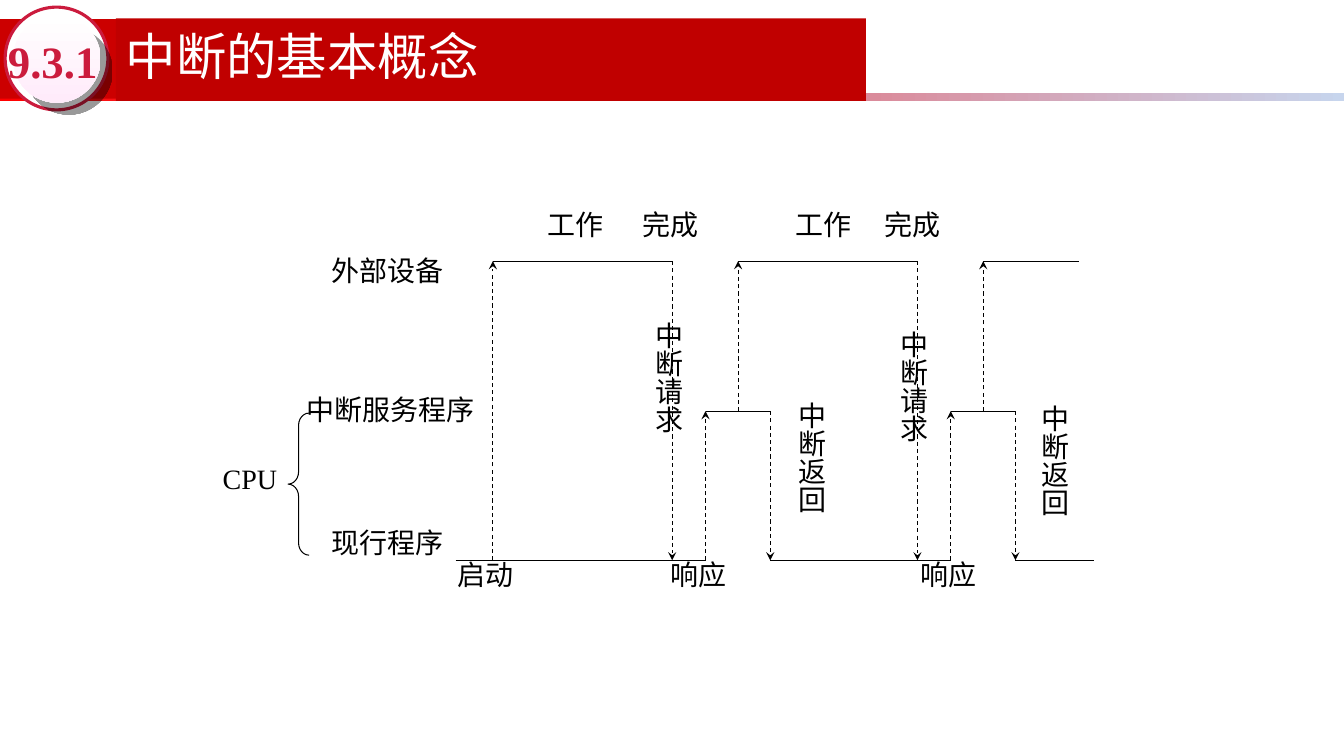
from lxml.etree import SubElement
from pptx import Presentation
from pptx.dml.color import RGBColor
from pptx.enum.dml import MSO_LINE
from pptx.enum.shapes import MSO_CONNECTOR, MSO_SHAPE
from pptx.enum.text import MSO_ANCHOR, PP_ALIGN
from pptx.oxml.ns import qn
from pptx.util import Cm, Pt

CJK_FONT = "Noto Sans CJK SC"


def color(value):
    return RGBColor.from_string(value)


def write(box, text, size=20, font="Times New Roman", ink="000000", bold=False,
          anchor=MSO_ANCHOR.TOP, align=PP_ALIGN.LEFT, margins=(0.25, 0.13), spacing=1.0):
    frame = box.text_frame
    frame.word_wrap = True
    frame.vertical_anchor = anchor
    frame.margin_left = frame.margin_right = Cm(margins[0])
    frame.margin_top = frame.margin_bottom = Cm(margins[1])
    para = frame.paragraphs[0]
    para.alignment = align
    para.line_spacing = spacing
    para.space_before = Pt(0)
    span = para.add_run()
    span.text = text
    span.font.size = Pt(size)
    span.font.name = font
    span.font.bold = bold
    span.font.color.rgb = color(ink)
    SubElement(span.font._element, qn("a:ea"), typeface=CJK_FONT)


deck = Presentation()
deck.slide_width = Cm(33.87)
deck.slide_height = Cm(19.05)
page = deck.slides.add_slide(deck.slide_layouts[5])
shapes = page.shapes

decorations = [
    (MSO_SHAPE.RECTANGLE, 0, 2.34, 33.87, 0.2, ("FF0000", "C7D5ED"), 0),
    (MSO_SHAPE.RECTANGLE, 0, 0.48, 18.54, 2.01, ("CC0000",), 0),
    (MSO_SHAPE.OVAL, 0.13, 0.18, 2.59, 2.59, ("FFFFFF",), 0),
    (MSO_SHAPE.OVAL, 0.33, 0.38, 2.21, 2.21, ("FFFFFF", "FFEBFA"), 270),
]
drawn = []
for kind, left, top, width, height, tints, angle in decorations:
    shape = shapes.add_shape(kind, Cm(left), Cm(top), Cm(width), Cm(height))
    shape.shadow.inherit = False
    shape.line.fill.background()
    if len(tints) == 1:
        shape.fill.solid()
        shape.fill.fore_color.rgb = color(tints[0])
    else:
        shape.fill.gradient()
        shape.fill.gradient_angle = angle
        for stop, tint in zip(shape.fill.gradient_stops, tints):
            stop.color.rgb = color(tint)
    drawn.append(shape)

ring, disc = drawn[2:]
ring.line.color.rgb = color("CB1B3D")
ring.line.width = Pt(2.25)
effects = disc.element.spPr.find(qn("a:effectLst"))
shadow = SubElement(effects, qn("a:outerShdw"), blurRad="0", dist=str(Pt(12.1)),
                    dir="2700000", algn="ctr", rotWithShape="0")
shade = SubElement(shadow, qn("a:srgbClr"), val="000000")
SubElement(shade, qn("a:alpha"), val="40000")

title = shapes.title
title.left, title.top, title.width, title.height = Cm(2.92), Cm(0.46), Cm(18.9), Cm(2.08)
title.fill.solid()
title.fill.fore_color.rgb = color("C00000")
write(title, "中断的基本概念", size=36, font=CJK_FONT, ink="FFFFFF",
      anchor=MSO_ANCHOR.MIDDLE, spacing=0.9)
disc.element.addnext(title.element)

number = shapes.add_textbox(Cm(0.2), Cm(0.84), Cm(2.36), Cm(1.37))
write(number, "9.3.1", size=32, ink="CB1B3D", bold=True,
      anchor=MSO_ANCHOR.MIDDLE, margins=(0, 0))

device, service, program = 6.58, 10.36, 14.12
cycle = 6.18
start, request, response, back = 12.42, 16.94, 17.78, 19.41

levels = [
    (11.48, response, program),
    (back, response + cycle, program),
    (back + cycle, 27.58, program),
    (start + 2 * cycle, 27.18, device),
]
signals = [(start, program, device)]
for shift in (0, cycle):
    levels += [
        (start + shift, request + shift, device),
        (response + shift, back + shift, service),
    ]
    signals += [
        (request + shift, device, program),
        (response + shift, program, service),
        (start + cycle + shift, service, device),
        (back + shift, service, program),
    ]

segments = [(x1, y, x2, y, False) for x1, x2, y in levels]
segments += [(x, y1, x, y2, True) for x, y1, y2 in signals]
for x1, y1, x2, y2, is_signal in segments:
    line = shapes.add_connector(MSO_CONNECTOR.STRAIGHT, Cm(x1), Cm(y1), Cm(x2), Cm(y2))
    line.line.color.rgb = color("000000")
    line.line.width = Pt(0.75)
    if is_signal:
        line.line.dash_style = MSO_LINE.DASH
        SubElement(line.element.spPr.find(qn("a:ln")), qn("a:tailEnd"), type="stealth")
    SubElement(line.element.spPr, qn("a:effectLst"))

labels = [
    ("启动", 11.28, 13.92, 2.82),
    ("工作", 13.54, 5.11, 2.82),
    ("工作", 19.79, 5.11, 2.82),
    ("完成", 15.93, 5.11, 2.82),
    ("完成", 22.05, 5.11, 2.82),
    ("响应", 16.64, 13.92, 2.82),
    ("响应", 22.96, 13.92, 2.82),
    ("外部设备", 8.1, 6.25, 4.67),
    ("中断服务程序", 7.47, 9.75, 5.56),
    ("现行程序", 8.1, 13.11, 5.56),
    ("CPU", 5.36, 11.51, 2.87),
]
for text, left, top, width in labels:
    box = shapes.add_textbox(Cm(left), Cm(top), Cm(width), Cm(1.12))
    write(box, text)

vertical_labels = [
    ("中断请求", 16.05, 7.87),
    ("中断请求", 22.23, 8.08),
    ("中断返回", 19.66, 9.88),
    ("中断返回", 25.78, 9.96),
]
for text, left, top in vertical_labels:
    box = shapes.add_textbox(Cm(left), Cm(top), Cm(1.35), Cm(6.65))
    write(box, text, align=PP_ALIGN.CENTER, margins=(0.13, 0.25))
    box.text_frame._txBody.bodyPr.set("vert", "eaVert")

brace = shapes.add_shape(MSO_SHAPE.LEFT_BRACE, Cm(7.26), Cm(10.41), Cm(0.53), Cm(3.58))
brace.shadow.inherit = False
brace.adjustments[0] = 0.58
brace.fill.background()
brace.line.color.rgb = color("000000")
brace.line.width = Pt(0.75)

deck.save("out.pptx")
